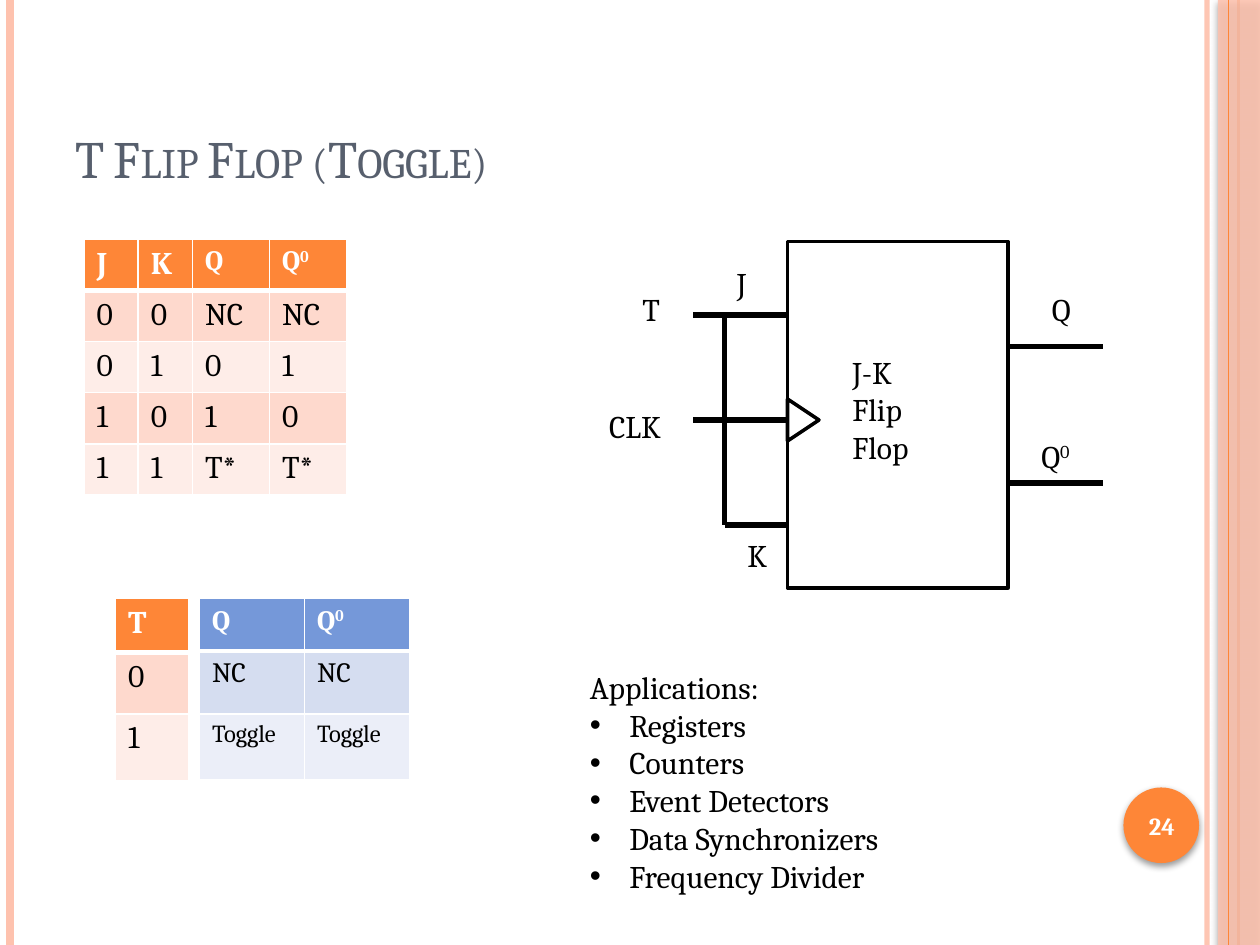
from lxml.etree import SubElement
from pptx import Presentation
from pptx.dml.color import RGBColor
from pptx.enum.shapes import MSO_CONNECTOR, MSO_SHAPE as Shape
from pptx.enum.text import MSO_ANCHOR as Anchor, PP_ALIGN as Align
from pptx.oxml.ns import qn
from pptx.util import Pt

BLACK = RGBColor(0x00, 0x00, 0x00)
WHITE = RGBColor(0xFF, 0xFF, 0xFF)
SLATE = RGBColor(0x57, 0x5F, 0x6D)
ORANGE = RGBColor(0xFE, 0x86, 0x37)
PEACH = RGBColor(0xFE, 0xC2, 0xAE)
ORANGE_BANDS = RGBColor(0xFE, 0xD9, 0xCD), RGBColor(0xFE, 0xED, 0xE8)
BLUE = RGBColor(0x75, 0x98, 0xD9)
BLUE_BANDS = RGBColor(0xD5, 0xDD, 0xF0), RGBColor(0xEB, 0xEE, 0xF8)


def add_xml(parent, tag, **attributes):
    values = {name: str(value) for name, value in attributes.items()}
    return SubElement(parent, qn(tag), values)


def set_alpha(element, percent):
    """Make the first RGB colour inside element partly transparent."""
    add_xml(next(element.iter(qn("a:srgbClr"))), "a:alpha", val=percent * 1000)


class SlideBuilder:
    font_name = "Cambria"

    def __init__(self, slide):
        self.slide = slide
        self.shapes = slide.shapes

    def add_runs(self, paragraph, text, size=18, color=BLACK, bold=False, small_caps=False):
        """Add text to a paragraph; what follows a ^ is raised."""
        style = {"name": self.font_name, "size": Pt(size), "bold": bold}
        for index, part in enumerate(text.split("^")):
            run = paragraph.add_run()
            run.text = part
            for attribute, value in style.items():
                setattr(run.font, attribute, value)
            run.font.color.rgb = color
            properties = run.font._element
            if index:
                properties.set("baseline", "30000")
            if small_caps:
                properties.set("cap", "small")

    def text(self, left, top, width, height, lines, anchor=Anchor.TOP,
             align=Align.LEFT, **style):
        """Add a text box; lines that start with • become bullets."""
        frame = self.shapes.add_textbox(Pt(left), Pt(top), Pt(width), Pt(height)).text_frame
        layout = {"word_wrap": True, "vertical_anchor": anchor}
        for attribute, value in layout.items():
            setattr(frame, attribute, value)
        for index, line in enumerate(lines):
            paragraph = frame.add_paragraph() if index else frame.paragraphs[0]
            paragraph.alignment = align
            if line.startswith("•"):
                properties = paragraph._p.get_or_add_pPr()
                properties.set("marL", str(Pt(22.5)))
                properties.set("indent", str(-Pt(22.5)))
                add_xml(properties, "a:buFont", typeface="Arial")
                add_xml(properties, "a:buChar", char="•")
            self.add_runs(paragraph, line.lstrip("•"), **style)

    def line(self, start, end, color=BLACK, width=3, alpha=None):
        connector = self.shapes.add_connector(
            MSO_CONNECTOR.STRAIGHT, *map(Pt, (*start, *end)))
        connector.line.color.rgb = color
        connector.line.width = Pt(width)
        if alpha:
            set_alpha(connector.line._ln, alpha)
        add_xml(connector._element.spPr, "a:effectLst")

    def outline(self, kind, left, top, width, height, rotation=0):
        shape = self.shapes.add_shape(kind, Pt(left), Pt(top), Pt(width), Pt(height))
        shape.shadow.inherit = False
        shape.rotation = rotation
        shape.fill.background()
        shape.line.color.rgb = BLACK
        shape.line.width = Pt(2)

    def shadowed(self, kind, left, top, width, height, color, alpha=None):
        """Add a filled shape with a soft shadow below it."""
        shape = self.shapes.add_shape(kind, Pt(left), Pt(top), Pt(width), Pt(height))
        shape.shadow.inherit = False
        shape.fill.solid()
        shape.fill.fore_color.rgb = color
        shape.line.fill.background()
        properties = shape._element.spPr
        if alpha:
            set_alpha(properties, alpha)
        shadow = add_xml(properties.find(qn("a:effectLst")), "a:outerShdw",
                         blurRad=Pt(4), dist=Pt(2), dir=90 * 60000, rotWithShape=0)
        add_xml(shadow, "a:srgbClr", val=BLACK)
        set_alpha(shadow, 40)

    def cell_borders(self, cell, row):
        thick_side = {0: "B", 1: "T"}.get(row)
        for side in "LRTB":
            width = Pt(3 if side == thick_side else 0.96)
            border = add_xml(cell._tc.get_or_add_tcPr(), f"a:ln{side}", w=width)
            add_xml(add_xml(border, "a:solidFill"), "a:srgbClr", val=WHITE)

    def table(self, left, top, widths, heights, rows, sizes, header, bands):
        """Add a truth table; sizes holds the text sizes of each row."""
        table = self.shapes.add_table(
            len(rows), len(widths), Pt(left), Pt(top),
            Pt(sum(widths)), Pt(sum(heights))).table
        for column, width in zip(table.columns, widths):
            column.width = Pt(width)
        for r, (values, height) in enumerate(zip(rows, heights)):
            table.rows[r].height = Pt(height)
            for c, value in enumerate(values):
                cell = table.cell(r, c)
                self.cell_borders(cell, r)
                cell.fill.solid()
                cell.fill.fore_color.rgb = bands[(r - 1) % 2] if r else header
                self.add_runs(cell.text_frame.paragraphs[0], value, sizes[r][c],
                              BLACK if r else WHITE, bold=r == 0)


def add_frame(builder):
    builder.line((689.76, 0), (689.76, 540), PEACH, 3, alpha=93)
    builder.line((5.76, 0), (5.76, 540), PEACH, 4.5)
    builder.line((707.76, 0), (707.76, 540), ORANGE, 1.5)
    builder.shadowed(Shape.RECTANGLE, 696, 0, 24, 540, PEACH, alpha=87)
    builder.line((702, 0), (702, 540), ORANGE, 0.75)
    builder.shadowed(Shape.OVAL, 642, 450, 43.2, 43.2, ORANGE)
    builder.text(640, 451.5, 48, 41, ["24"], Anchor.MIDDLE, Align.CENTER,
                 size=14, color=WHITE, bold=True)


def add_circuit(builder):
    gate_left, gate_right, lead, joint = 450, 576, 54, 414
    j_level, clock_level, k_level = 180, 240, 300
    builder.outline(Shape.RECTANGLE, gate_left, 138, gate_right - gate_left, 198)
    builder.outline(Shape.ISOSCELES_TRIANGLE, 447, 231, 24, 18, rotation=90)
    for level in (j_level, clock_level):
        builder.line((gate_left - lead, level), (gate_left, level))
    builder.line((joint, k_level), (gate_left, k_level))
    builder.line((joint, j_level), (joint, k_level))
    for level in (198, 276):
        builder.line((gate_right, level), (gate_right + lead, level))
    labels = [("J", 414, 147.5, 30), ("K", 420, 303, 24), ("Q", 594, 162, 24),
              ("Q^0", 588, 246, 36), ("CLK", 341, 229, 55), ("T", 360, 162, 36)]
    for label, left, top, width in labels:
        builder.text(left, top, width, 29, [label])
    builder.text(480, 198, 66, 72, ["J-K Flip Flop"])


def main():
    presentation = Presentation()
    presentation.slide_width, presentation.slide_height = Pt(720), Pt(540)
    builder = SlideBuilder(presentation.slides.add_slide(presentation.slide_layouts[6]))
    add_frame(builder)
    builder.text(36, 21.6, 588, 90, ["T Flip Flop (Toggle)"], Anchor.BOTTOM,
                 size=30, color=SLATE, small_caps=True)
    add_circuit(builder)

    jk_rows = [["J", "K", "Q", "Q^0"], ["0", "0", "NC", "NC"], ["0", "1", "0", "1"],
               ["1", "0", "1", "0"], ["1", "1", "T*", "T*"]]
    builder.table(48, 136.8, [31, 31, 44, 44], [29.2] * 5, jk_rows,
                  [[18, 18, 16, 16]] + [[18] * 4] * 4, ORANGE, ORANGE_BANDS)
    builder.table(114, 342, [60, 60], [30, 36, 37.5],
                  [["Q", "Q^0"], ["NC"] * 2, ["Toggle"] * 2],
                  [[16] * 2, [16] * 2, [14] * 2], BLUE, BLUE_BANDS)
    builder.table(66, 342, [42], [31, 35, 38], [["T"], ["0"], ["1"]],
                  [[18]] * 3, ORANGE, ORANGE_BANDS)

    builder.text(330, 378, 258, 137, [
        "Applications:", "•Registers", "•Counters", "•Event Detectors",
        "•Data Synchronizers", "•Frequency Divider"])
    presentation.save("out.pptx")


if __name__ == "__main__":
    main()
